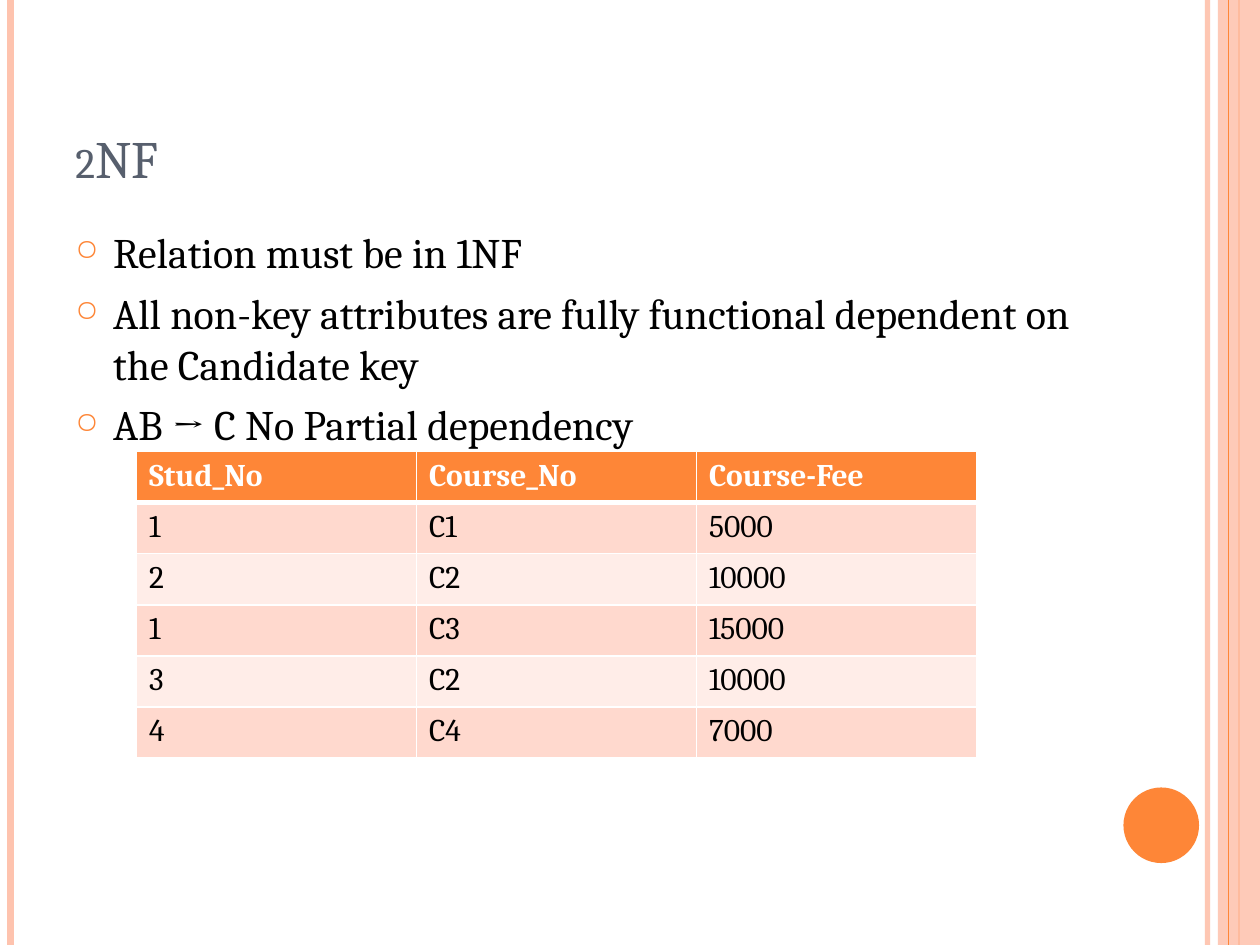
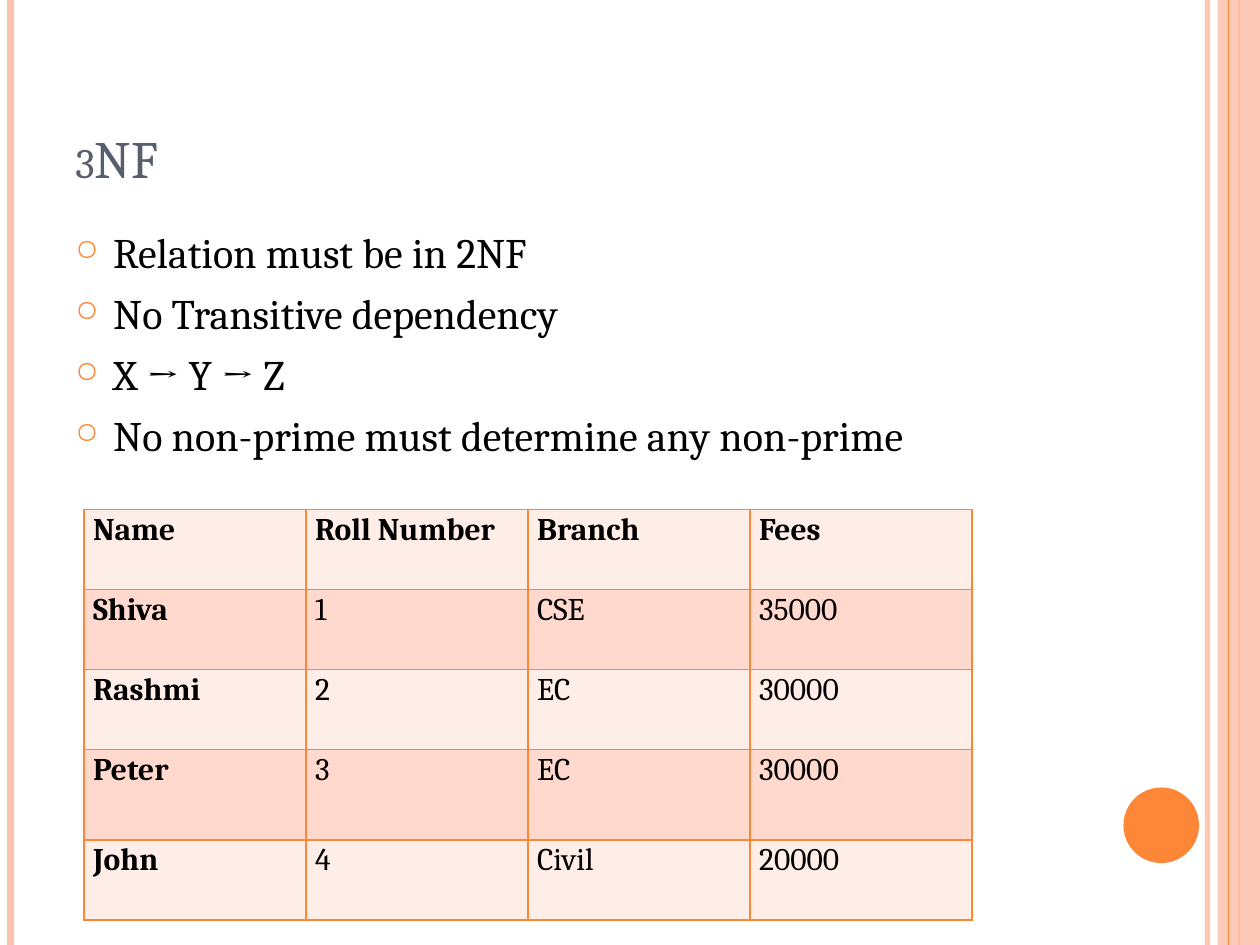
from dataclasses import dataclass

from lxml import etree
from pptx import Presentation
from pptx.dml import color as dml
from pptx.enum import shapes, text
from pptx.oxml import ns
from pptx.util import Pt

FONT = "Cambria"
ORANGE, PEACH, SLATE = "FE8637", "FEC3AE", "575F6D"
BLACK, WHITE = "000000", "FFFFFF"
BAND_DARK, BAND_LIGHT = "FFD9CE", "FFEDE8"
SLIDE_W, SLIDE_H = 720, 540
TEXT_X, TEXT_W = 36, 588
HANGING = 21.6


@dataclass
class Rule:
    """A full-height vertical line of the frame."""
    x: float
    color: str
    width: float
    opacity: int = 100


@dataclass
class Grid:
    """A table with its own look."""
    x: float
    y: float
    col_width: float
    row_heights: list[float]
    rows: list[list[str]]
    border: str
    bands: tuple[str, str]
    header_fill: str
    header_color: str
    header_line: float = 1
    bold_first_column: bool = False
    margins: tuple[float, float] = (7.2, 3.6)
    line_spacing: float = 1
    space_after: float = 0


@dataclass
class NormalForm:
    title: str
    rules: list[str]
    example: Grid


BACK_RULES = [Rule(690, PEACH, 3, 93), Rule(6, PEACH, 4.5), Rule(708, ORANGE, 1.5)]
FRONT_RULES = [Rule(702, ORANGE, 0.75)]

NORMAL_FORMS = [
    NormalForm(
        "2NF",
        ["Relation must be in 1NF",
         "All non-key attributes are fully functional dependent on the Candidate key",
         "AB → C No Partial dependency"],
        Grid(78, 258, 160, [29.2] * 6,
             [["Stud_No", "Course_No", "Course-Fee"],
              ["1", "C1", "5000"],
              ["2", "C2", "10000"],
              ["1", "C3", "15000"],
              ["3", "C2", "10000"],
              ["4", "C4", "7000"]],
             border=WHITE, bands=(BAND_LIGHT, BAND_DARK),
             header_fill=ORANGE, header_color=WHITE, header_line=3)),
    NormalForm(
        "3NF",
        ["Relation must be in 2NF",
         "No Transitive dependency",
         "X → Y → Z",
         "No non-prime must determine any non-prime"],
        Grid(48, 291, 126.9, [45.8, 45.8, 45.8, 51.6, 45.8],
             [["Name", "Roll Number", "Branch", "Fees"],
              ["Shiva", "1", "CSE", "35000"],
              ["Rashmi", "2", "EC", "30000"],
              ["Peter", "3", "EC", "30000"],
              ["John", "4", "Civil", "20000"]],
             border=ORANGE, bands=(BAND_LIGHT, BAND_DARK),
             header_fill=BAND_LIGHT, header_color=BLACK, bold_first_column=True,
             margins=(5.2, 0), line_spacing=1.07, space_after=8)),
]


def rgb(value: str) -> dml.RGBColor:
    return dml.RGBColor.from_string(value)


def add_xml(parent, tag: str, **attributes):
    return etree.SubElement(parent, ns.qn(tag), attributes)


def set_opacity(shape, percent: int) -> None:
    if percent < 100:
        clr = next(shape._element.spPr.iter(ns.qn("a:srgbClr")))
        add_xml(clr, "a:alpha", val=str(percent * 1000))


def style(paragraph, size: float, color: str, bold: bool = False) -> None:
    font = paragraph.font
    font.name, font.size, font.bold = FONT, Pt(size), bold
    font.color.rgb = rgb(color)


# Frame shared by all slides
def draw_rule(slide, rule: Rule) -> None:
    line = slide.shapes.add_connector(
        shapes.MSO_CONNECTOR.STRAIGHT, Pt(rule.x), Pt(0), Pt(rule.x), Pt(SLIDE_H))
    line.line.color.rgb = rgb(rule.color)
    line.line.width = Pt(rule.width)
    set_opacity(line, rule.opacity)
    add_xml(line._element.spPr, "a:effectLst")


def draw_solid(slide, kind, x: float, y: float, w: float, h: float,
               color: str, opacity: int = 100) -> None:
    solid = slide.shapes.add_shape(kind, Pt(x), Pt(y), Pt(w), Pt(h))
    solid.shadow.inherit = False
    solid.fill.solid()
    solid.fill.fore_color.rgb = rgb(color)
    solid.line.fill.background()
    set_opacity(solid, opacity)


def draw_frame(slide) -> None:
    for rule in BACK_RULES:
        draw_rule(slide, rule)
    draw_solid(slide, shapes.MSO_SHAPE.RECTANGLE, 696, 0, 24, SLIDE_H, PEACH, 87)
    for rule in FRONT_RULES:
        draw_rule(slide, rule)
    draw_solid(slide, shapes.MSO_SHAPE.OVAL, 642, 450, 43.2, 43.2, ORANGE)


# Title and bullets
def add_text_frame(slide, y: float, h: float, anchor):
    frame = slide.shapes.add_textbox(Pt(TEXT_X), Pt(y), Pt(TEXT_W), Pt(h)).text_frame
    frame.word_wrap = True
    frame.vertical_anchor = anchor
    return frame


def draw_title(slide, title: str) -> None:
    heading = add_text_frame(slide, 21.6, 90, text.MSO_ANCHOR.BOTTOM).paragraphs[0]
    heading.text = title
    style(heading, 30, SLATE)
    heading.font._element.set("cap", "small")


def add_bullet(paragraph) -> None:
    props = paragraph._p.get_or_add_pPr()
    props.set("marL", str(Pt(HANGING)))
    props.set("indent", str(-Pt(HANGING)))
    color = add_xml(props, "a:buClr")
    add_xml(color, "a:srgbClr", val=ORANGE)
    add_xml(props, "a:buSzPct", val="70000")
    add_xml(props, "a:buChar", char="○")


def draw_bullets(slide, items: list[str]) -> None:
    frame = add_text_frame(slide, 126, 384, text.MSO_ANCHOR.TOP)
    for index, item in enumerate(items):
        bullet = frame.add_paragraph() if index else frame.paragraphs[0]
        bullet.text = item
        bullet.space_before = Pt(6)
        add_bullet(bullet)
        style(bullet, 24, BLACK)


# Example table
def set_borders(cell, color: str, top: float, bottom: float) -> None:
    props = cell._tc.get_or_add_tcPr()
    widths = {"a:lnL": 1, "a:lnR": 1, "a:lnT": top, "a:lnB": bottom}
    for tag, width in widths.items():
        fill = add_xml(add_xml(props, tag, w=str(Pt(width))), "a:solidFill")
        add_xml(fill, "a:srgbClr", val=color)


def draw_grid(slide, grid: Grid) -> None:
    columns = len(grid.rows[0])
    table = slide.shapes.add_table(
        len(grid.rows), columns, Pt(grid.x), Pt(grid.y),
        Pt(grid.col_width * columns), Pt(sum(grid.row_heights))).table
    table.first_row = table.horz_banding = False
    for column in table.columns:
        column.width = Pt(grid.col_width)
    for r, (height, values) in enumerate(zip(grid.row_heights, grid.rows)):
        table.rows[r].height = Pt(height)
        header = r == 0
        for c, value in enumerate(values):
            cell = table.cell(r, c)
            side, edge = grid.margins
            cell.margin_left = cell.margin_right = Pt(side)
            cell.margin_top = cell.margin_bottom = Pt(edge)
            set_borders(cell, grid.border,
                        top=grid.header_line if r == 1 else 1,
                        bottom=grid.header_line if header else 1)
            cell.fill.solid()
            cell.fill.fore_color.rgb = rgb(grid.header_fill if header else grid.bands[r % 2])
            entry = cell.text_frame.paragraphs[0]
            entry.text = value
            entry.line_spacing = grid.line_spacing
            entry.space_after = Pt(grid.space_after)
            style(entry, 18, grid.header_color if header else BLACK,
                  bold=header or (grid.bold_first_column and c == 0))


def main() -> None:
    deck = Presentation()
    deck.slide_width, deck.slide_height = Pt(SLIDE_W), Pt(SLIDE_H)
    for form in NORMAL_FORMS:
        slide = deck.slides.add_slide(deck.slide_layouts[6])
        draw_frame(slide)
        draw_title(slide, form.title)
        draw_bullets(slide, form.rules)
        draw_grid(slide, form.example)
    deck.save("out.pptx")


if __name__ == "__main__":
    main()
